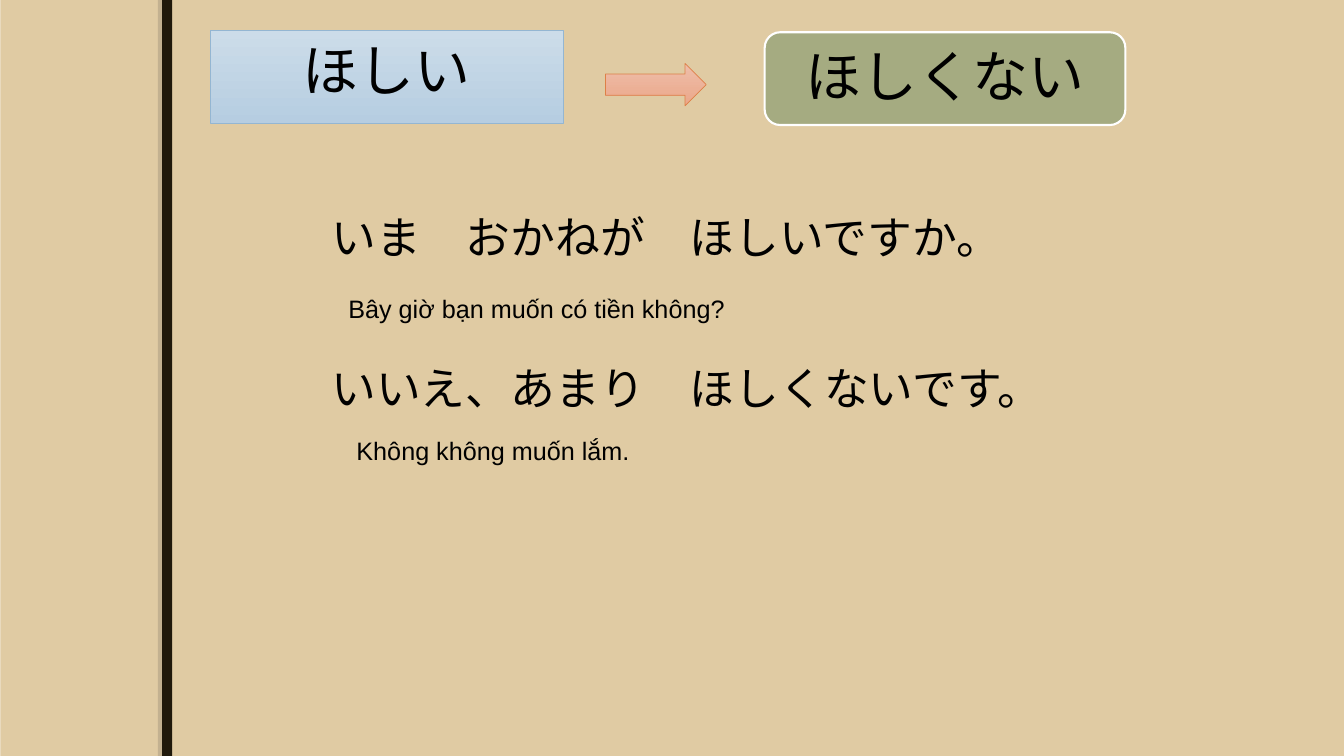
from pptx import Presentation
from pptx.dml.color import RGBColor
from pptx.enum.shapes import MSO_SHAPE
from pptx.enum.text import MSO_ANCHOR, PP_ALIGN
from pptx.oxml import parse_xml
from pptx.util import Inches, Pt

RECT, ROUNDED = MSO_SHAPE.RECTANGLE, MSO_SHAPE.ROUNDED_RECTANGLE
ARROW = MSO_SHAPE.RIGHT_ARROW
TOP, LEFT, CENTER = MSO_ANCHOR.TOP, PP_ALIGN.LEFT, PP_ALIGN.CENTER

PAPER = RGBColor(0xEB, 0xDD, 0xC3)
SAND = RGBColor(0xE0, 0xCB, 0xA3)
SPINE = RGBColor(0x20, 0x19, 0x0B)
SKY_LIGHT = RGBColor(0xCC, 0xDC, 0xE9)
SKY = RGBColor(0xB6, 0xCD, 0xE1)
SKY_LINE = RGBColor(0x94, 0xB6, 0xD2)
OLIVE = RGBColor(0xA5, 0xAB, 0x81)
PEACH_LIGHT = RGBColor(0xEE, 0xBE, 0xAA)
PEACH = RGBColor(0xEB, 0xA7, 0x89)
ORANGE = RGBColor(0xDD, 0x80, 0x47)
WHITE = RGBColor(0xFF, 0xFF, 0xFF)
BLACK = RGBColor(0, 0, 0)

W, H = 13.34, 7.5
SHADOW = (
    '<a:effectLst xmlns:a="http://schemas.openxmlformats.org/drawingml/2006/main">'
    '<a:outerShdw dist="38100" dir="10800000" algn="r" rotWithShape="0">'
    '<a:srgbClr val="726A5C"><a:alpha val="25000"/></a:srgbClr>'
    '</a:outerShdw></a:effectLst>'
)

prs = Presentation()
prs.slide_width, prs.slide_height = Inches(W), Inches(H)
s = prs.slides.add_slide(prs.slide_layouts[6])
s.background.fill.solid()
s.background.fill.fore_color.rgb = PAPER


def add_block(kind, box, colors, line=None, width=0):
    """Add a shape filled with one colour, or with a top-to-bottom gradient of two."""
    sp = s.shapes.add_shape(kind, *map(Inches, box))
    sp.shadow.inherit = False
    if len(colors) == 1:
        sp.fill.solid()
        sp.fill.fore_color.rgb = colors[0]
    else:
        sp.fill.gradient()
        sp.fill.gradient_angle = 270
        for stop, color, position in zip(sp.fill.gradient_stops, colors, (0, 1)):
            stop.color.rgb, stop.position = color, position
    if line is None:
        sp.line.fill.background()
    else:
        sp.line.color.rgb, sp.line.width = line, Pt(width)
    return sp


def write(sp, text, size, font, align):
    tf = sp.text_frame
    tf.word_wrap, tf.vertical_anchor = True, TOP
    tf.text = text
    p = tf.paragraphs[0]
    p.alignment = align
    r = p.runs[0]
    r.font.size, r.font.name, r.font.color.rgb = Pt(size), font, BLACK


# Page and dark spine
add_block(RECT, (0.01, 0, W - 0.01, H), [SAND])
spine = add_block(RECT, (1.61, 0, 0.1, H), [SPINE])
props = spine.element.spPr
props.replace(props.effectLst, parse_xml(SHADOW))

# Positive form, arrow, negative form
positive = add_block(RECT, (2.09, 0.3, 3.5, 0.92), [SKY_LIGHT, SKY], SKY_LINE, 0.5)
negative = add_block(ROUNDED, (7.59, 0.32, 3.58, 0.92), [OLIVE], WHITE, 1.5)
add_block(ARROW, (6.01, 0.63, 1, 0.42), [PEACH_LIGHT, PEACH], ORANGE, 0.5)
for sp, word in ((positive, "ほしい"), (negative, "ほしくない")):
    write(sp, word, 40, "TeX Gyre Adventor", CENTER)

# Example question and answer, each with its translation
for left, top, width, height, size, text in (
    (3.19, 2.03, 8.08, 0.64, 32, "いま　おかねが　ほしいですか。"),
    (3.36, 2.86, 7.17, 0.4, 18, "Bây giờ bạn muốn có tiền không?"),
    (3.19, 3.53, 8.5, 0.64, 32, "いいえ、あまり　ほしくないです。"),
    (3.44, 4.27, 6, 0.4, 18, "Không không muốn lắm."),
):
    box = s.shapes.add_textbox(*map(Inches, (left, top, width, height)))
    write(box, text, size, "Arial", LEFT)

prs.save("out.pptx")
